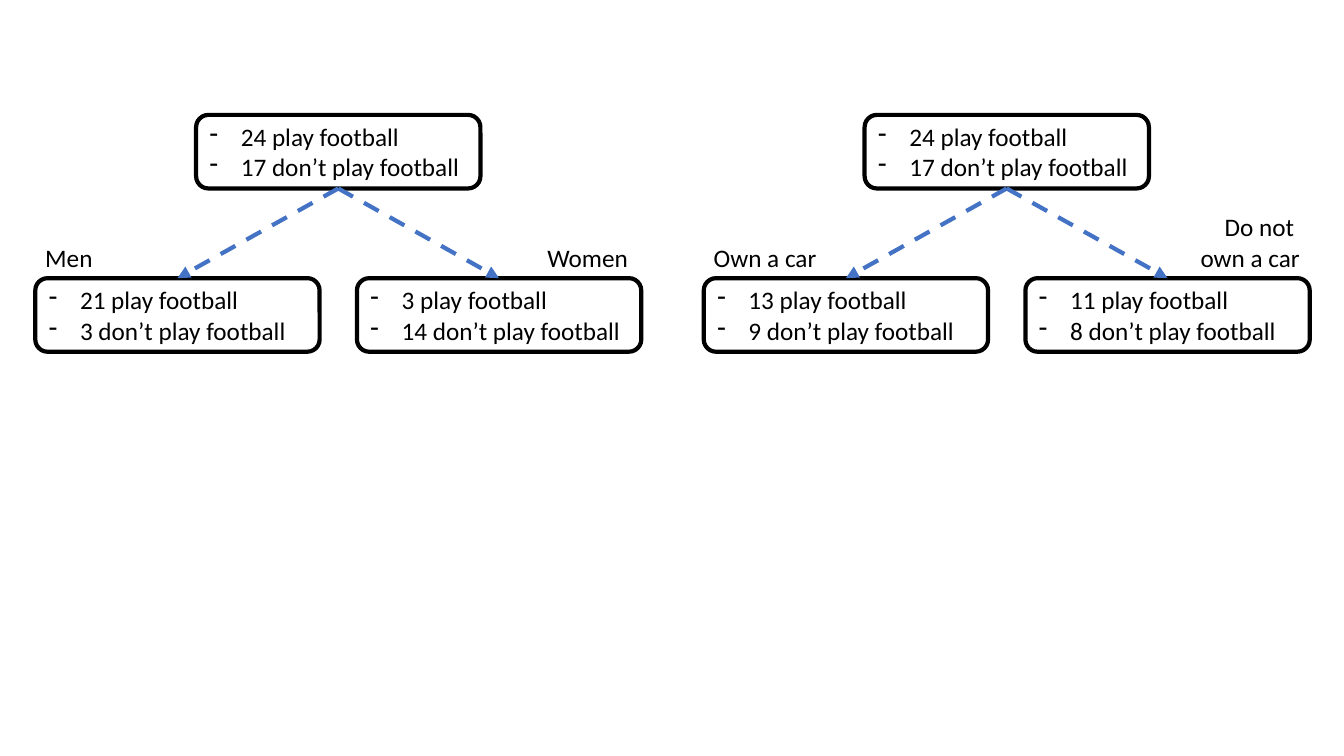
from lxml.etree import SubElement
from pptx import Presentation
from pptx.dml.color import RGBColor
from pptx.enum.dml import MSO_LINE
from pptx.enum.shapes import MSO_CONNECTOR, MSO_SHAPE
from pptx.enum.text import MSO_ANCHOR, MSO_AUTO_SIZE, PP_ALIGN
from pptx.oxml.ns import qn
from pptx.util import Inches, Pt

COLORS = {"ink": "000000", "paper": "FFFFFF", "branch": "4472C4"}
NODE_WIDTH, NODE_HEIGHT = 2.82, 0.73
ROOT_TOP, LEAF_TOP = 1.14, 2.76
LEAF_STEP = 3.19
TOP, BOTTOM = 0, 2

TREES = [
    {
        "left": 0.35,
        "root": (24, 17),
        "leaves": [(21, 3), (3, 14)],
        "labels": [(["Men"], 0.68, 0.4, PP_ALIGN.LEFT),
                   (["Women"], 1.03, 0.4, PP_ALIGN.LEFT)],
    },
    {
        "left": 6.98,
        "root": (24, 17),
        "leaves": [(13, 9), (11, 8)],
        "labels": [(["Own a car"], 1.25, 0.4, PP_ALIGN.LEFT),
                   (["Do not ", "own a car"], 1.21, 0.71, PP_ALIGN.RIGHT)],
    },
]


class TreeSlide:
    font = "Calibri"
    size = Pt(18)
    line_width = Pt(3)

    def __init__(self, slide):
        self.slide = slide

    def color(self, name):
        return RGBColor.from_string(COLORS[name])

    def add_lines(self, frame, lines, align, dashed=False):
        for index, line in enumerate(lines):
            paragraph = frame.paragraphs[0] if index == 0 else frame.add_paragraph()
            paragraph.alignment = align
            if dashed:
                properties = paragraph._p.get_or_add_pPr()
                properties.set("marL", str(Inches(0.31)))
                properties.set("indent", str(Inches(-0.31)))
                SubElement(properties, qn("a:buFontTx"))
                SubElement(properties, qn("a:buChar")).set("char", "-")
            run = paragraph.add_run()
            run.text = line
            run.font.name = self.font
            run.font.size = self.size
            run.font.color.rgb = self.color("ink")

    def node(self, left, top, counts):
        node = self.slide.shapes.add_shape(
            MSO_SHAPE.ROUNDED_RECTANGLE, Inches(left), Inches(top),
            Inches(NODE_WIDTH), Inches(NODE_HEIGHT))
        node.shadow.inherit = False
        node.fill.solid()
        node.fill.fore_color.rgb = self.color("paper")
        node.line.color.rgb = self.color("ink")
        node.line.width = self.line_width
        node.text_frame.vertical_anchor = MSO_ANCHOR.MIDDLE
        players, others = counts
        self.add_lines(node.text_frame,
                       [f"{players} play football", f"{others} don’t play football"],
                       PP_ALIGN.LEFT, dashed=True)
        return node

    def branch(self, parent, child):
        branch = self.slide.shapes.add_connector(MSO_CONNECTOR.STRAIGHT, 0, 0, 0, 0)
        branch.begin_connect(parent, BOTTOM)
        branch.end_connect(child, TOP)
        branch.line.color.rgb = self.color("branch")
        branch.line.width = self.line_width
        branch.line.dash_style = MSO_LINE.DASH
        SubElement(branch.line._get_or_add_ln(), qn("a:tailEnd")).set("type", "triangle")
        SubElement(branch._element.spPr, qn("a:effectLst"))

    def label(self, left, lines, width, height, align):
        label = self.slide.shapes.add_textbox(
            Inches(left), Inches(LEAF_TOP - height), Inches(width), Inches(height))
        label.text_frame.word_wrap = False
        label.text_frame.auto_size = MSO_AUTO_SIZE.SHAPE_TO_FIT_TEXT
        self.add_lines(label.text_frame, lines, align)

    def tree(self, left, root, leaves, labels):
        parent = self.node(left + LEAF_STEP / 2, ROOT_TOP, root)
        for index, (counts, label) in enumerate(zip(leaves, labels)):
            leaf_left = left + index * LEAF_STEP
            self.branch(parent, self.node(leaf_left, LEAF_TOP, counts))
            label_width = label[1]
            self.label(leaf_left + index * (NODE_WIDTH - label_width), *label)


def main():
    deck = Presentation()
    deck.slide_width, deck.slide_height = Inches(13.33), Inches(7.5)
    blank_layout = deck.slide_layouts[6]
    tree_slide = TreeSlide(deck.slides.add_slide(blank_layout))
    for tree in TREES:
        tree_slide.tree(**tree)
    deck.save("out.pptx")


if __name__ == "__main__":
    main()
